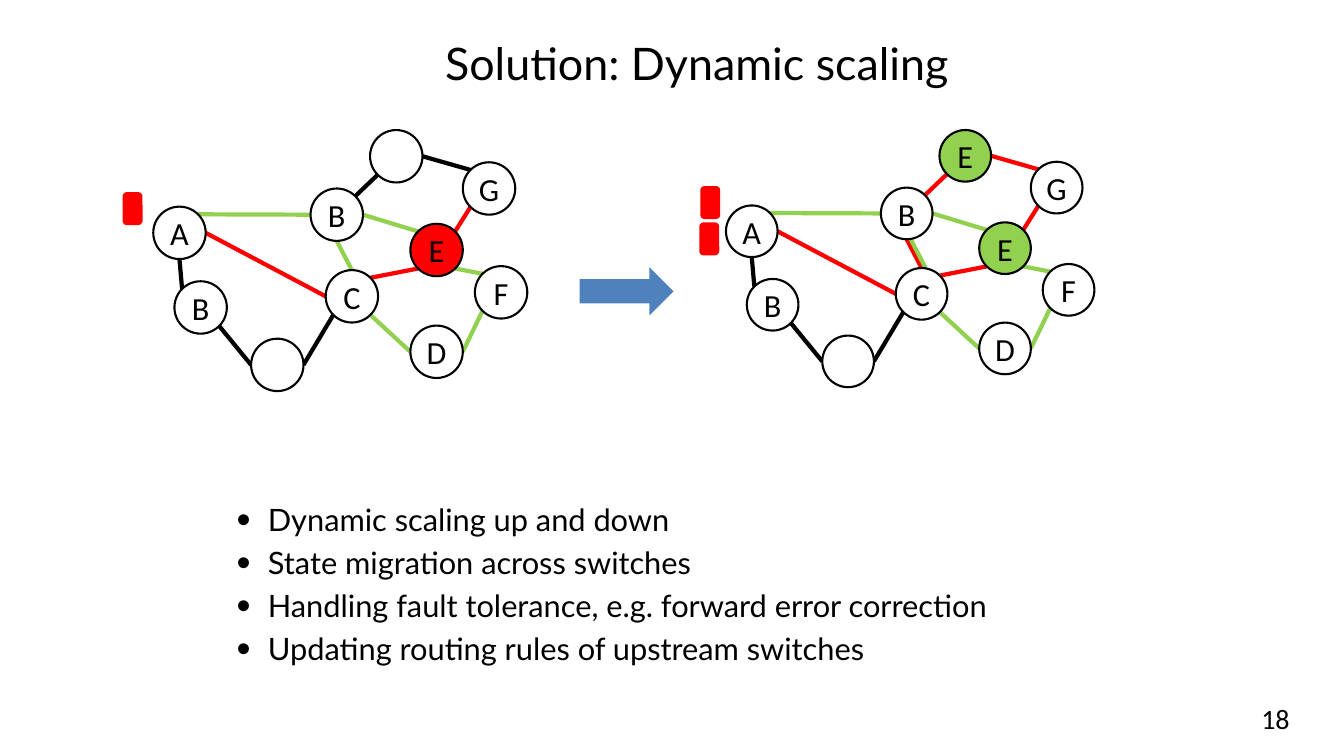
from dataclasses import dataclass
from math import cos, pi, sin

from lxml import etree
from pptx import Presentation
from pptx import util as u
from pptx.dml.color import RGBColor
from pptx.enum import shapes, text
from pptx.oxml import ns


@dataclass(frozen=True)
class Theme:
    """Colours, fonts and type sizes of the slide."""
    black: str = "000000"
    white: str = "FFFFFF"
    red: str = "FF0000"
    green: str = "92D050"
    blue: str = "4F81BD"
    heading_font: str = "Lato"
    label_font: str = "Calibri"
    title_size: int = 32
    bullet_size: int = 22
    node_size: int = 23
    number_size: int = 20


T = Theme()
DIAMETER = 0.52
TOP, TOP_LEFT, LEFT, BOTTOM_LEFT, BOTTOM, BOTTOM_RIGHT, RIGHT, TOP_RIGHT = range(8)

NODES = {
    "source": (1.52, 2.05, "A"),
    "lower_b": (1.73, 2.79, "B"),
    "lower_spare": (2.49, 3.36, ""),
    "hub": (3.23, 2.68, "C"),
    "upper_b": (3.08, 1.87, "B"),
    "scaled": (4.07, 2.22, "E"),
    "g": (4.59, 1.61, "G"),
    "f": (4.71, 2.64, "F"),
    "d": (4.07, 3.23, "D"),
    "upper_spare": (3.67, 1.29, ""),
}

EDGES = [
    ("source", BOTTOM, "lower_b", TOP_LEFT, T.black),
    ("lower_b", BOTTOM_RIGHT, "lower_spare", LEFT, T.black),
    ("lower_spare", RIGHT, "hub", BOTTOM_LEFT, T.black),
    ("hub", TOP_RIGHT, "scaled", BOTTOM_LEFT, T.red),
    ("scaled", TOP_RIGHT, "g", BOTTOM_LEFT, T.red),
    ("scaled", BOTTOM_RIGHT, "f", TOP_LEFT, T.green),
    ("source", RIGHT, "hub", LEFT, T.red),
    ("upper_b", RIGHT, "scaled", TOP_LEFT, T.green),
    ("source", TOP_RIGHT, "upper_b", LEFT, T.green),
    ("hub", BOTTOM_RIGHT, "d", LEFT, T.green),
    ("d", RIGHT, "f", BOTTOM_LEFT, T.green),
]

BULLETS = [
    "Dynamic scaling up and down",
    "State migration across switches",
    "Handling fault tolerance, e.g. forward error correction",
    "Updating routing rules of upstream switches",
]


def box(*lengths):
    """Turn inches into lengths."""
    return [u.Inches(v) for v in lengths]


def rgb(colour):
    """Turn a hex string into a colour."""
    return RGBColor.from_string(colour)


def add_run(p, words, font, size):
    """Add one black run to a paragraph."""
    r = p.add_run()
    r.text = words
    r.font.name = font
    r.font.size = u.Pt(size)
    r.font.color.rgb = rgb(T.black)


def add_shape(s, kind, at, fill, line=None, width=1.5):
    """Add a flat preset shape."""
    sp = s.shapes.add_shape(kind, *box(*at))
    sp.shadow.inherit = False
    sp.fill.solid()
    sp.fill.fore_color.rgb = rgb(fill)
    if line:
        sp.line.color.rgb = rgb(line)
        sp.line.width = u.Pt(width)
    else:
        sp.line.fill.background()
    return sp


def add_node(s, x, y, size, label, fill):
    """Add a switch as a labelled circle."""
    sp = add_shape(s, shapes.MSO_SHAPE.OVAL, (x, y, size, size), fill, T.black)
    if label:
        tf = sp.text_frame
        tf.margin_left = tf.margin_right = tf.margin_top = tf.margin_bottom = 0
        tf.word_wrap = False
        tf.vertical_anchor = text.MSO_ANCHOR.MIDDLE
        p = tf.paragraphs[0]
        p.alignment = text.PP_ALIGN.CENTER
        add_run(p, label, T.label_font, T.node_size)


def add_line(s, start, end, colour):
    """Add a thick straight link."""
    c = s.shapes.add_connector(shapes.MSO_CONNECTOR.STRAIGHT, *box(*start, *end))
    c.line.color.rgb = rgb(colour)
    c.line.width = u.Pt(3)
    etree.SubElement(c._element.spPr, ns.qn("a:effectLst"))


def add_network(s, left, scale, edges, labels, fills):
    """Draw the network from its left edge at a given scale."""
    x0, y0 = NODES["source"][0], NODES["upper_spare"][1]
    size = DIAMETER * scale
    corners = {name: (left + (x - x0) * scale, y0 + (y - y0) * scale)
               for name, (x, y, _) in NODES.items()}

    def site(name, place, shift):
        """Find one of eight points around a circle."""
        x, y = corners[name]
        angle = place * pi / 4
        return (x + size / 2 * (1 - sin(angle)) + shift,
                y + size / 2 * (1 - cos(angle)))

    for a, a_site, b, b_site, colour, *shift in EDGES + edges:
        dx = sum(shift)
        add_line(s, site(a, a_site, dx), site(b, b_site, dx), colour)
    for name, (_, _, label) in NODES.items():
        add_node(s, *corners[name], size, labels.get(name, label),
                 fills.get(name, T.white))


def add_packet(s, x, y):
    """Add a red packet beside the source switch."""
    add_shape(s, shapes.MSO_SHAPE.ROUNDED_RECTANGLE, (x, y, 0.17, 0.3),
              T.red, T.red, 2)


def add_title(s, words):
    """Place and format the title."""
    sp = s.shapes.title
    sp.left, sp.top, sp.width, sp.height = box(2.41, 0.08, 9.01, 1.08)
    tf = sp.text_frame
    tf.vertical_anchor = text.MSO_ANCHOR.MIDDLE
    p = tf.paragraphs[0]
    p.alignment = text.PP_ALIGN.CENTER
    add_run(p, words, T.heading_font, T.title_size)


def add_bullets(s, items):
    """Add the bulleted list."""
    tf = s.shapes.add_textbox(*box(1.75, 4.92, 9.94, 1.83)).text_frame
    tf.word_wrap = True
    for i, item in enumerate(items):
        p = tf.add_paragraph() if i else tf.paragraphs[0]
        p.level = 1
        if i:
            p.space_before = u.Pt(T.bullet_size * 0.2)
        pPr = p._p.get_or_add_pPr()
        pPr.set("marL", str(u.Inches(0.81)))
        pPr.set("indent", str(u.Inches(-0.31)))
        etree.SubElement(pPr, ns.qn("a:buSzPct")).set("val", "130000")
        etree.SubElement(pPr, ns.qn("a:buFont")).set("typeface", "Arial")
        etree.SubElement(pPr, ns.qn("a:buChar")).set("char", "•")
        add_run(p, item, T.heading_font, T.bullet_size)


def add_slide_number(s, number):
    """Add the slide number at the bottom right."""
    tf = s.shapes.add_textbox(*box(9.78, 6.93, 3.11, 0.4)).text_frame
    tf.word_wrap = True
    tf.vertical_anchor = text.MSO_ANCHOR.MIDDLE
    p = tf.paragraphs[0]
    p.alignment = text.PP_ALIGN.RIGHT
    add_run(p, number, T.label_font, T.number_size)


def main():
    """Build and save the slide."""
    prs = Presentation()
    prs.slide_width, prs.slide_height = box(13.33, 7.5)
    s = prs.slides.add_slide(prs.slide_layouts[5])
    add_title(s, "Solution: Dynamic scaling")
    middle = ("upper_b", BOTTOM, "hub", TOP)
    inward = ("upper_b", TOP_RIGHT, "upper_spare", BOTTOM_LEFT)
    onward = ("upper_spare", RIGHT, "g", TOP_LEFT)
    add_network(s, 1.52, 1, [(*middle, T.green), (*inward, T.black), (*onward, T.black)],
                {}, {"scaled": T.red})
    add_network(s, 7.2, 0.985, [(*middle, T.red), (*middle, T.green, 0.04),
                                (*inward, T.red), (*onward, T.red)],
                {"upper_spare": "E"}, {"scaled": T.green, "upper_spare": T.green})
    add_shape(s, shapes.MSO_SHAPE.RIGHT_ARROW, (5.75, 2.65, 0.93, 0.48), T.blue)
    for x, y in [(1.23, 1.92), (6.96, 1.86), (6.95, 2.22)]:
        add_packet(s, x, y)
    add_bullets(s, BULLETS)
    add_slide_number(s, "18")
    prs.save("out.pptx")


if __name__ == "__main__":
    main()
